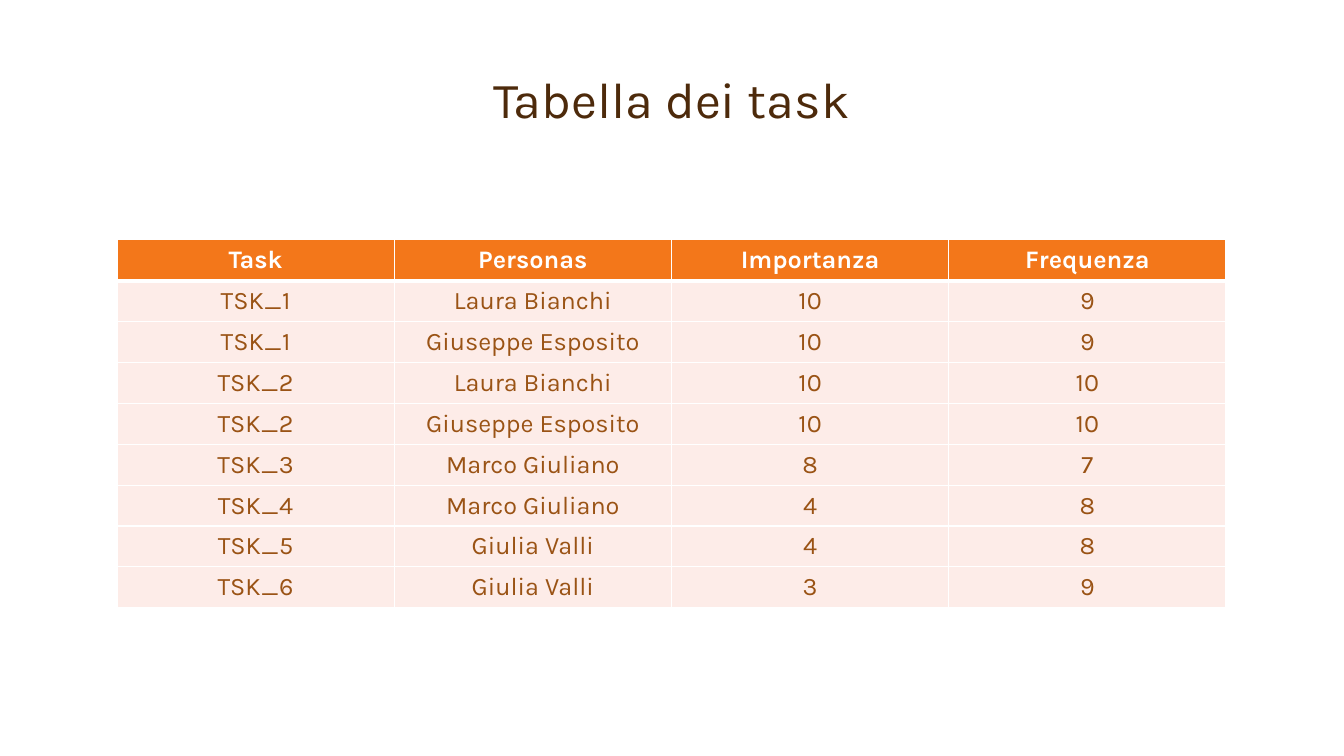
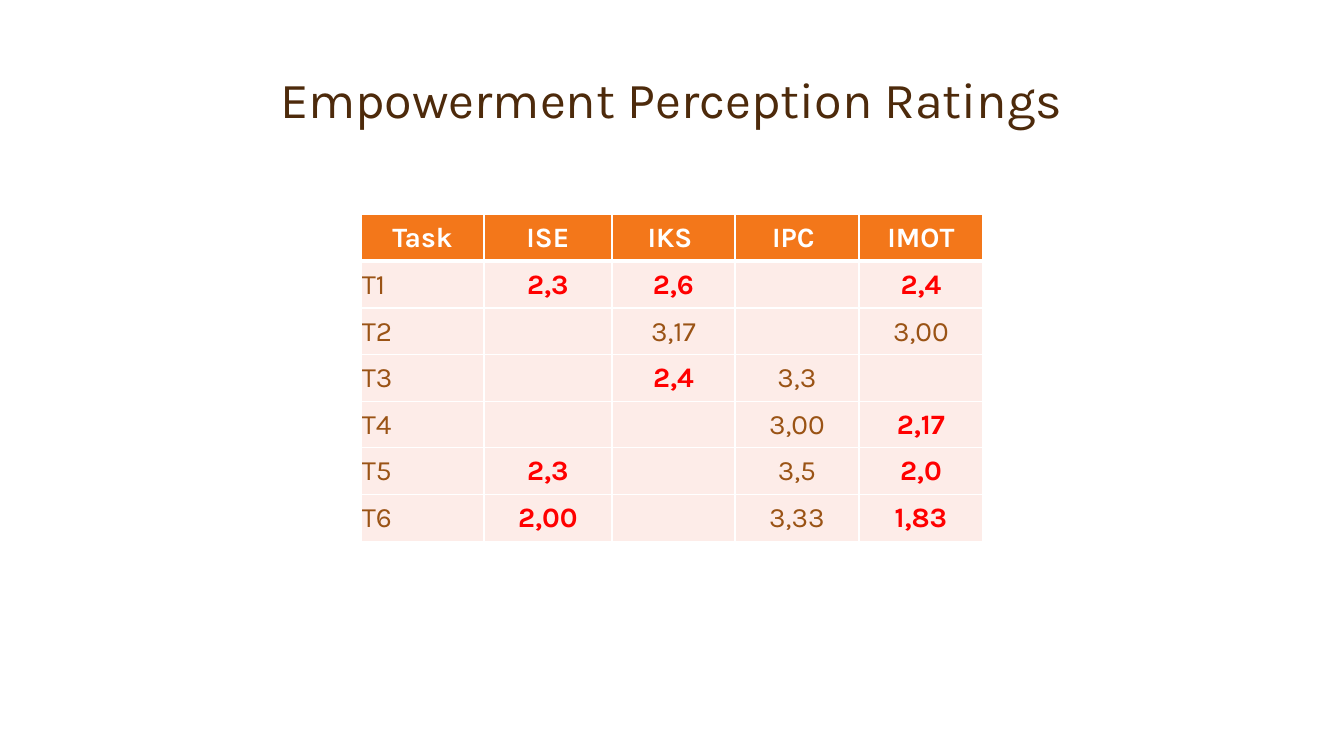
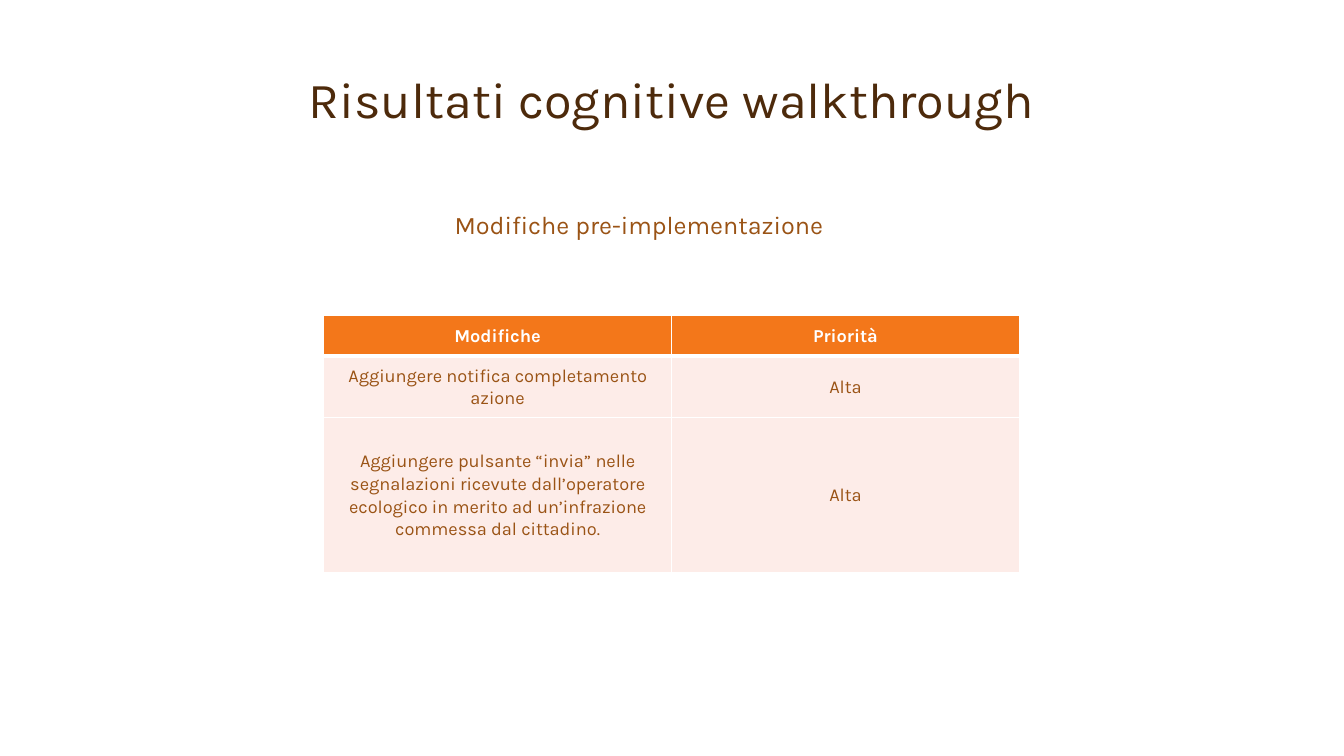
from lxml import etree
from pptx import Presentation
from pptx.dml.color import RGBColor
from pptx.enum import text as t
from pptx.oxml import ns
from pptx.util import Inches, Pt

# Shared style
FONT = "Karla"
WHITE = RGBColor(0xFF, 0xFF, 0xFF)
DARK_BROWN = RGBColor(0x4D, 0x2A, 0x0B)
BROWN = RGBColor(0x9A, 0x53, 0x15)
ORANGE = RGBColor(0xF3, 0x77, 0x1A)
PALE_PINK = RGBColor(0xFD, 0xEC, 0xE8)
RED = RGBColor(0xFF, 0x00, 0x00)
CENTER, LEFT = t.PP_ALIGN.CENTER, t.PP_ALIGN.LEFT
MIDDLE, BOTTOM, TOP = (t.MSO_ANCHOR.MIDDLE, t.MSO_ANCHOR.BOTTOM,
                       t.MSO_ANCHOR.TOP)
LOW_RATING = 3  # ratings below this stand out

# Content: one dict per slide; sizes in inches, insets left, top, right, bottom
SLIDES = [
    {
        "title": "Tabella dei task",
        "at": (1.16, 2.38), "cols": [2.75] * 4, "heights": [3.65 / 9] * 9,
        "size": 18, "insets": (0.1, 0.05, 0.1, 0.05),
        "rows": [
            ("Task", "Personas", "Importanza", "Frequenza"),
            ("TSK_1", "Laura Bianchi", "10", "9"),
            ("TSK_1", "Giuseppe Esposito", "10", "9"),
            ("TSK_2", "Laura Bianchi", "10", "10"),
            ("TSK_2", "Giuseppe Esposito", "10", "10"),
            ("TSK_3", "Marco Giuliano", "8", "7"),
            ("TSK_4", "Marco Giuliano", "4", "8"),
            ("TSK_5", "Giulia Valli", "4", "8"),
            ("TSK_6", "Giulia Valli", "3", "9"),
        ],
    },
    {
        "title": "Empowerment Perception Ratings",
        "at": (3.58, 2.13), "cols": [1.22, 1.27, 1.22, 1.23, 1.23],
        "heights": [3.24 / 7] * 7,
        "size": 20, "insets": (0.01, 0.01, 0.01, 0), "ratings": True,
        "rows": [
            ("Task", "ISE", "IKS ", "IPC ", "IMOT"),
            ("T1", "2,3", "2,6", "", "2,4"),
            ("T2", "", "3,17", "", "3,00"),
            ("T3", "", "2,4", "3,3", ""),
            ("T4", "", "", "3,00", "2,17"),
            ("T5", "2,3", "", "3,5", "2,0"),
            ("T6", "2,00", "", "3,33", "1,83"),
        ],
    },
    {
        "title": "Risultati cognitive walkthrough",
        "subtitle": "Modifiche pre-implementazione",
        "at": (3.21, 3.13), "cols": [3.45] * 2, "heights": [0.4, 0.61, 1.54],
        "size": 13, "insets": (0.07, 0, 0.07, 0), "spacing": 1.07,
        "rows": [
            ("Modifiche", "Priorità"),
            ("Aggiungere notifica completamento azione", "Alta"),
            ("Aggiungere pulsante “invia” nelle segnalazioni ricevute "
             "dall’operatore ecologico in merito ad un’infrazione commessa "
             "dal cittadino.", "Alta"),
        ],
    },
]


def style(paragraph, size, color, align=CENTER, bold=False, spacing=None):
    font = paragraph.font
    font.name, font.size, font.bold = FONT, Pt(size), bold
    font.color.rgb = color
    paragraph.alignment = align
    paragraph.line_spacing = spacing


def add_text(slide, words, box, anchor, size, color, align, spacing=None):
    frame = slide.shapes.add_textbox(*map(Inches, box)).text_frame
    frame.word_wrap = True
    frame.vertical_anchor = anchor
    frame.text = words
    style(frame.paragraphs[0], size, color, align, spacing=spacing)


def set_borders(cell, top, bottom):
    """White cell lines; widths in points. Lines precede the fill in tcPr."""
    properties = cell._tc.get_or_add_tcPr()
    widths = {"L": 1, "R": 1, "T": top, "B": bottom}
    for place, (side, width) in enumerate(widths.items()):
        line = etree.Element(ns.qn(f"a:ln{side}"), w=str(Pt(width)))
        fill = etree.SubElement(line, ns.qn("a:solidFill"))
        etree.SubElement(fill, ns.qn("a:srgbClr"), val=str(WHITE))
        properties.insert(place, line)


def add_table(slide, content):
    rows, cols, heights = content["rows"], content["cols"], content["heights"]
    table = slide.shapes.add_table(
        len(rows), len(cols), *map(Inches, content["at"]),
        Inches(sum(cols)), Inches(sum(heights))).table
    for column, width in zip(table.columns, cols):
        column.width = Inches(width)
    for row, height in zip(table.rows, heights):
        row.height = Inches(height)

    for r, row in enumerate(rows):
        header = r == 0
        for c, words in enumerate(row):
            cell = table.cell(r, c)
            cell.text = words
            cell.vertical_anchor = MIDDLE
            (cell.margin_left, cell.margin_top, cell.margin_right,
             cell.margin_bottom) = map(Inches, content["insets"])
            cell.fill.solid()
            cell.fill.fore_color.rgb = ORANGE if header else PALE_PINK
            set_borders(cell, 3 if r == 1 else 1, 3 if header else 1)

            rated = content.get("ratings") and not header
            low = (rated and c > 0 and words
                   and float(words.replace(",", ".")) < LOW_RATING)
            color = WHITE if header else RED if low else BROWN
            align = LEFT if rated and c == 0 else CENTER
            style(cell.text_frame.paragraphs[0], content["size"], color,
                  align, bool(header or low), content.get("spacing"))


def main():
    deck = Presentation()
    deck.slide_width, deck.slide_height = Inches(13.33), Inches(7.5)
    for content in SLIDES:
        slide = deck.slides.add_slide(deck.slide_layouts[6])
        add_text(slide, content["title"], (1.16, 0, 11, 1.33), BOTTOM,
                 36, DARK_BROWN, CENTER, 0.9)
        add_table(slide, content)
        if "subtitle" in content:
            add_text(slide, content["subtitle"], (4.41, 2.03, 4.51, 0.4), TOP,
                     18, BROWN, LEFT)
    deck.save("out.pptx")


if __name__ == "__main__":
    main()
